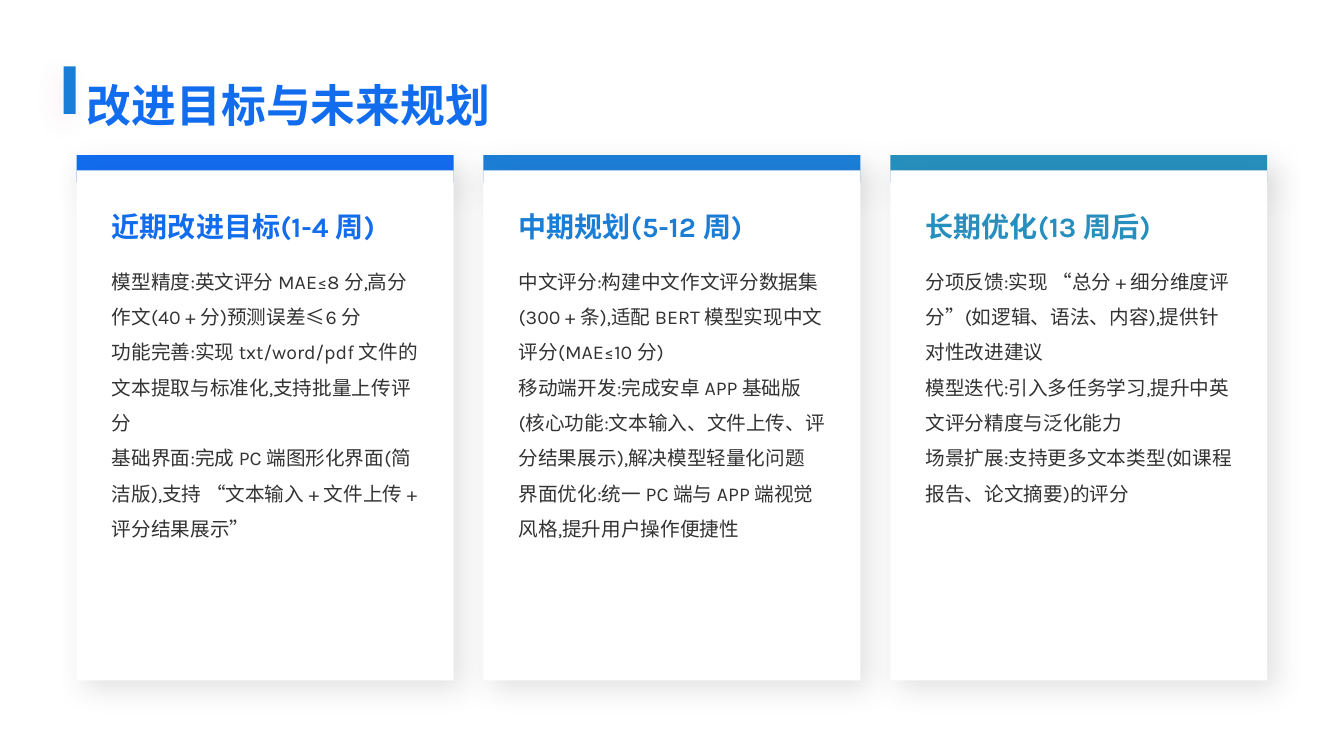
from dataclasses import dataclass

from lxml import etree
from pptx import Presentation
from pptx.dml.color import RGBColor
from pptx.enum.lang import MSO_LANGUAGE_ID
from pptx.enum.shapes import MSO_SHAPE
from pptx.enum.text import MSO_ANCHOR, MSO_AUTO_SIZE, PP_ALIGN
from pptx.oxml.ns import qn
from pptx.util import Inches, Pt

RECTANGLE = MSO_SHAPE.RECTANGLE
TOP, BOTTOM = MSO_ANCHOR.TOP, MSO_ANCHOR.BOTTOM
LEFT = PP_ALIGN.LEFT
NO_AUTOFIT = MSO_AUTO_SIZE.NONE
CHINESE = MSO_LANGUAGE_ID.SIMPLIFIED_CHINESE
TITLE_ONLY = 5


@dataclass(frozen=True)
class Shadow:
    color: str
    opacity: int
    blur: int
    distance: int
    angle: int


@dataclass(frozen=True)
class Theme:
    font: str = "Karla"
    blue: str = "116CEE"
    azure: str = "1B7ED6"
    teal: str = "268FBE"
    white: str = "FFFFFF"
    ink: str = "333333"
    title_size: int = 32
    heading_size: int = 20
    body_size: int = 14
    accent_shadow: Shadow = Shadow("FF5DA9", 10, 16, 8, 135)
    band_shadow: Shadow = Shadow("BFBFBF", 40, 20, 8, 45)
    panel_shadow: Shadow = Shadow("404040", 15, 20, 8, 45)


class SlideBuilder:
    def __init__(self, presentation, theme):
        self.theme = theme
        self.column = presentation.slide_width / 100
        self.row = presentation.slide_height / 100
        self.slide = presentation.slides.add_slide(presentation.slide_layouts[TITLE_ONLY])

    def place(self, left, top, width, height):
        return (round(left * self.column), round(top * self.row),
                round(width * self.column), round(height * self.row))

    def rectangle(self, box, color, shadow):
        shape = self.slide.shapes.add_shape(RECTANGLE, *self.place(*box))
        shape.fill.solid()
        shape.fill.fore_color.rgb = RGBColor.from_string(color)
        shape.line.fill.background()
        shape.shadow.inherit = False
        effects = shape.element.spPr.find(qn("a:effectLst"))
        outer = etree.SubElement(effects, qn("a:outerShdw"), {
            "blurRad": str(Pt(shadow.blur)), "dist": str(Pt(shadow.distance)),
            "dir": str(shadow.angle * 60000), "algn": "ctr", "rotWithShape": "0"})
        tint = etree.SubElement(outer, qn("a:srgbClr"), val=shadow.color)
        etree.SubElement(tint, qn("a:alpha"), val=str(shadow.opacity * 1000))

    def fill_text(self, shape, texts, size, color, bold, anchor, margin=0, spacing=1.0):
        frame = shape.text_frame
        frame.word_wrap = True
        frame.auto_size = NO_AUTOFIT
        frame.vertical_anchor = anchor
        frame.margin_left = frame.margin_right = Inches(margin)
        frame.margin_top = frame.margin_bottom = 0
        for index, text in enumerate(texts):
            paragraph = frame.add_paragraph() if index else frame.paragraphs[0]
            paragraph.alignment = LEFT
            paragraph.line_spacing = spacing
            run = paragraph.add_run()
            run.text = text
            run.font.name = self.theme.font
            run.font.size = Pt(size)
            run.font.bold = bold
            run.font.color.rgb = RGBColor.from_string(color)
            run.font.language_id = CHINESE

    def title(self, box, text):
        shape = self.slide.shapes.title
        shape.left, shape.top, shape.width, shape.height = self.place(*box)
        self.fill_text(shape, [text], self.theme.title_size, self.theme.blue, True, BOTTOM, 0.1)

    def text(self, box, texts, size, color, bold=False, anchor=TOP, spacing=1.0):
        shape = self.slide.shapes.add_textbox(*self.place(*box))
        self.fill_text(shape, texts, size, color, bold, anchor, spacing=spacing)

    def card(self, left, color, heading, goals):
        theme = self.theme
        width, inset, text_width = 28.05, 2.63, 22.8
        self.rectangle((left, 20.53, width, 3.6), color, theme.band_shadow)
        self.rectangle((left, 22.53, width, 67.47), theme.white, theme.panel_shadow)
        self.text((left + inset, 34.13, text_width, 51.2), goals,
                  theme.body_size, theme.ink, spacing=1.5)
        self.text((left + inset, 26.13, text_width, 6), [heading],
                  theme.heading_size, color, True, BOTTOM)


def main():
    theme = Theme()
    presentation = Presentation()
    presentation.slide_width = Inches(13.33)
    presentation.slide_height = Inches(7.5)
    builder = SlideBuilder(presentation, theme)
    margin, pitch = 5.7, 30.27

    builder.rectangle((4.73, 8.8, 0.9, 6.27), theme.azure, theme.accent_shadow)
    builder.title((margin, 5.73, 88.6, 11.6), "改进目标与未来规划")

    stages = [
        (theme.blue, "近期改进目标(1-4 周)", [
            "模型精度:英文评分 MAE≤8 分,高分作文(40 + 分)预测误差≤6 分",
            "功能完善:实现 txt/word/pdf 文件的文本提取与标准化,支持批量上传评分",
            "基础界面:完成 PC 端图形化界面(简洁版),支持 “文本输入 + 文件上传 + 评分结果展示”"]),
        (theme.azure, "中期规划(5-12 周)", [
            "中文评分:构建中文作文评分数据集(300 + 条),适配 BERT 模型实现中文评分(MAE≤10 分)",
            "移动端开发:完成安卓 APP 基础版(核心功能:文本输入、文件上传、评分结果展示),解决模型轻量化问题",
            "界面优化:统一 PC 端与 APP 端视觉风格,提升用户操作便捷性"]),
        (theme.teal, "长期优化(13 周后)", [
            "分项反馈:实现 “总分 + 细分维度评分”(如逻辑、语法、内容),提供针对性改进建议",
            "模型迭代:引入多任务学习,提升中英文评分精度与泛化能力",
            "场景扩展:支持更多文本类型(如课程报告、论文摘要)的评分"]),
    ]
    for index, (color, heading, goals) in enumerate(stages):
        builder.card(margin + index * pitch, color, heading, goals)

    presentation.save("out.pptx")


if __name__ == "__main__":
    main()
